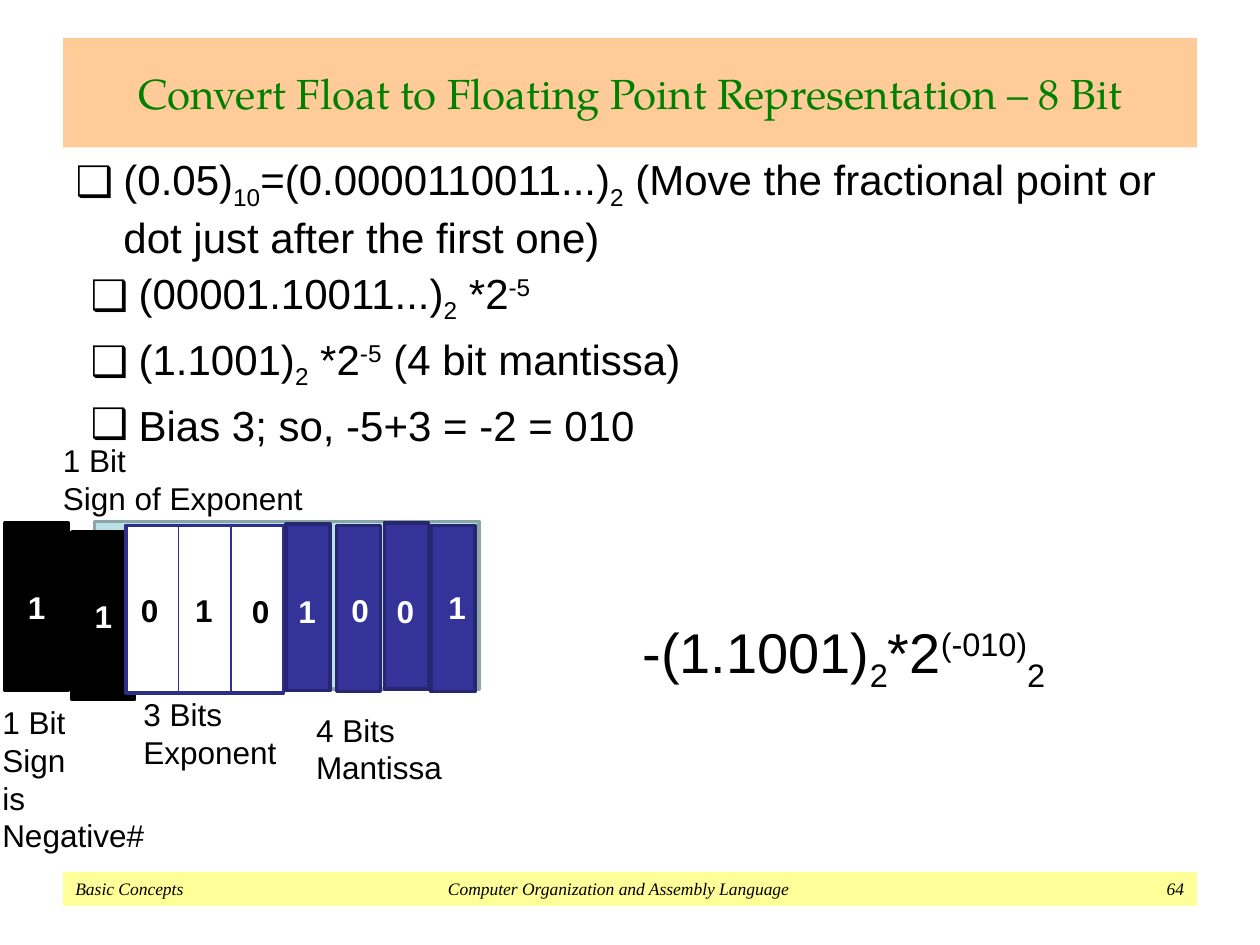
from dataclasses import dataclass

from lxml.etree import SubElement
from pptx import Presentation
from pptx.dml.color import RGBColor
from pptx.enum.shapes import MSO_CONNECTOR, MSO_SHAPE
from pptx.enum.text import MSO_ANCHOR, MSO_AUTO_SIZE, PP_ALIGN
from pptx.oxml.ns import qn
from pptx.util import Inches, Pt

COLORS = {
    "black": "000000", "white": "FFFFFF", "title": "008000",
    "title band": "FFCC99", "footer band": "FFFF99",
    "backdrop": "BBE0E3", "backdrop edge": "8AA6A8",
    "exponent edge": "2D2D8A", "divider": "2F2F98",
    "mantissa": "333399", "mantissa edge": "262671",
}
PAGE_WIDTH, PAGE_HEIGHT = Inches(10), Inches(7.5)
COLUMN, ROW = PAGE_WIDTH // 100, PAGE_HEIGHT // 75
SUBSCRIPT, SUPERSCRIPT = -25000, 30000


@dataclass(frozen=True)
class Area:
    column: float
    row: float
    columns: float
    rows: float

    def place(self) -> tuple[int, int, int, int]:
        return (round(self.column * COLUMN), round(self.row * ROW),
                round(self.columns * COLUMN), round(self.rows * ROW))


@dataclass(frozen=True)
class Piece:
    text: str
    baseline: int = 0


@dataclass(frozen=True)
class Cell:
    area: Area
    fill: str
    edge: str
    digit: str = ""


@dataclass(frozen=True)
class Label:
    area: Area
    text: str
    color: str = "black"
    bold: bool = False


def color(name: str) -> RGBColor:
    return RGBColor.from_string(COLORS[name])


def format_font(font, size: float, name: str = "black", face: str = "Arial",
                bold: bool = False, italic: bool = False) -> None:
    font.size, font.name, font.bold, font.italic = Pt(size), face, bold, italic
    font.color.rgb = color(name)


def format_spans(frame, size: float, name: str = "black", face: str = "Arial",
                 bold: bool = False, italic: bool = False) -> None:
    for para in frame.paragraphs:
        for span in para.runs:
            format_font(span.font, size, name, face, bold, italic)


def add_pieces(para, pieces: list[Piece], size: float) -> None:
    for piece in pieces:
        span = para.add_run()
        span.text = piece.text
        format_font(span.font, size)
        if piece.baseline:
            span._r.get_or_add_rPr().set("baseline", str(piece.baseline))


def move(shape, area: Area) -> None:
    shape.left, shape.top, shape.width, shape.height = area.place()


def fill_list(body, area: Area, items: list[list[Piece]]) -> None:
    move(body, area)
    frame = body.text_frame
    frame.word_wrap, frame.auto_size = True, MSO_AUTO_SIZE.NONE
    for index, pieces in enumerate(items):
        para = frame.add_paragraph() if index else frame.paragraphs[0]
        properties = para._p.get_or_add_pPr()
        properties.set("marL", str(Inches(0.38)))
        properties.set("indent", str(-Inches(0.38)))
        SubElement(properties, qn("a:buChar")).set("char", "❑")
        para.space_before = Pt(5 if index else 0)
        add_pieces(para, pieces, 24)


def add_rectangle(page, area: Area, fill: str, edge: str = ""):
    box = page.shapes.add_shape(MSO_SHAPE.RECTANGLE, *area.place())
    box.shadow.inherit = False
    box.fill.solid()
    box.fill.fore_color.rgb = color(fill)
    if edge:
        box.line.color.rgb = color(edge)
        box.line.width = Pt(2)
    else:
        box.line.fill.background()
    return box


def add_cell(page, cell: Cell) -> None:
    box = add_rectangle(page, cell.area, cell.fill, cell.edge)
    if cell.digit:
        box.text_frame.text = cell.digit
        box.text_frame.vertical_anchor = MSO_ANCHOR.MIDDLE
        box.text_frame.paragraphs[0].alignment = PP_ALIGN.CENTER
        format_spans(box.text_frame, 18, "white", bold=True)


def add_text_frame(page, area: Area):
    frame = page.shapes.add_textbox(*area.place()).text_frame
    frame.word_wrap, frame.auto_size = False, MSO_AUTO_SIZE.SHAPE_TO_FIT_TEXT
    return frame


def add_label(page, label: Label) -> None:
    frame = add_text_frame(page, label.area)
    frame.text = label.text
    format_spans(frame, 18, label.color, bold=label.bold)


def add_divider(page, column: float, top: float, rows: float) -> None:
    left, start, _, height = Area(column, top, 0, rows).place()
    line = page.shapes.add_connector(
        MSO_CONNECTOR.STRAIGHT, left, start, left, start + height)
    line.line.color.rgb = color("divider")
    line.line.width = Pt(0.75)
    SubElement(line._element.spPr, qn("a:effectLst"))


def add_footer(page) -> None:
    box = add_rectangle(page, Area(5, 69.2, 90, 2.7), "footer band")
    frame = box.text_frame
    frame.vertical_anchor = MSO_ANCHOR.MIDDLE
    para = frame.paragraphs[0]
    para.text = "Basic Concepts\tComputer Organization and Assembly Language\t64"
    para.alignment = PP_ALIGN.LEFT
    tabs = SubElement(para._p.get_or_add_pPr(), qn("a:tabLst"))
    for position, alignment in ((4.31, "ctr"), (8.8, "r")):
        tab = SubElement(tabs, qn("a:tab"))
        tab.set("pos", str(Inches(position)))
        tab.set("algn", alignment)
    format_spans(frame, 10, face="Times New Roman", italic=True)


def format_title(title) -> None:
    move(title, Area(5, 3, 90, 8.7))
    title.fill.solid()
    title.fill.fore_color.rgb = color("title band")
    frame = title.text_frame
    frame.text = "Convert Float to Floating Point Representation – 8 Bit"
    frame.auto_size = MSO_AUTO_SIZE.NONE
    frame.vertical_anchor = MSO_ANCHOR.MIDDLE
    frame.paragraphs[0].alignment = PP_ALIGN.CENTER
    format_spans(frame, 24, "title", "TeX Gyre Pagella")


def main() -> None:
    deck = Presentation()
    deck.slide_width, deck.slide_height = PAGE_WIDTH, PAGE_HEIGHT
    page = deck.slides.add_slide(deck.slide_layouts[3])
    title, question, steps = page.placeholders
    two = Piece("2", SUBSCRIPT)
    power = [two, Piece(" *2"), Piece("-5", SUPERSCRIPT)]
    format_title(title)
    fill_list(question, Area(5, 11.7, 90, 9), [
        [Piece("(0.05)"), Piece("10", SUBSCRIPT), Piece("=(0.0000110011...)"), two,
         Piece(" (Move the fractional point or dot just after the first one)")]])
    fill_list(steps, Area(6.2, 20.7, 90, 16), [
        [Piece("(00001.10011...)"), *power],
        [Piece("(1.1001)"), *power, Piece(" (4 bit mantissa)")],
        [Piece("Bias 3; so, -5+3 = -2 = 010")]])
    add_footer(page)

    exponent = Area(10, 41.7, 12.5, 13.3)
    mantissa = [Cell(Area(column, row, 3.5, 13.2), "mantissa", "mantissa edge")
                for column, row in ((22.7, 41.6), (26.7, 41.7), (30.5, 41.5), (34.2, 41.7))]
    for cell in (Cell(Area(7.5, 41.4, 30.5, 13.3), "backdrop", "backdrop edge"),
                 Cell(Area(5.7, 42.2, 5, 13.3), "black", "black", "1"),
                 Cell(exponent, "white", "exponent edge"),
                 *mantissa,
                 Cell(Area(0.4, 41.5, 5, 13.3), "black", "black", "1")):
        add_cell(page, cell)
    for third in (1, 2, 3):
        add_divider(page, exponent.column + third * exponent.columns / 3,
                    exponent.row, exponent.rows)

    digits = (("0", 10.2, 46.4, "black"), ("1", 14.5, 46.4, "black"),
              ("0", 19, 46.5, "black"), ("1", 22.7, 46.5, "white"),
              ("0", 26.9, 46.4, "white"), ("0", 30.5, 46.5, "white"),
              ("1", 34.6, 46.2, "white"))
    for digit, column, row, name in digits:
        add_label(page, Label(Area(column, row, 3.4, 4), digit, name, True))
    for label in (Label(Area(-0.8, 55.3, 13.4, 13.1), "1 Bit\nSign\nis\nNegative#"),
                  Label(Area(10.4, 54.7, 12.7, 7.1), "3 Bits\nExponent"),
                  Label(Area(24.1, 55.9, 12.1, 7.1), "4 Bits\nMantissa"),
                  Label(Area(4, 34.5, 21.2, 7.1), "1 Bit\nSign of Exponent")):
        add_label(page, label)
    result = add_text_frame(page, Area(50, 48.5, 35.7, 6.4))
    add_pieces(result.paragraphs[0], [
        Piece("-(1.1001)"), two, Piece("*2"), Piece("(-010)", SUPERSCRIPT), two], 32)
    deck.save("out.pptx")


if __name__ == "__main__":
    main()
